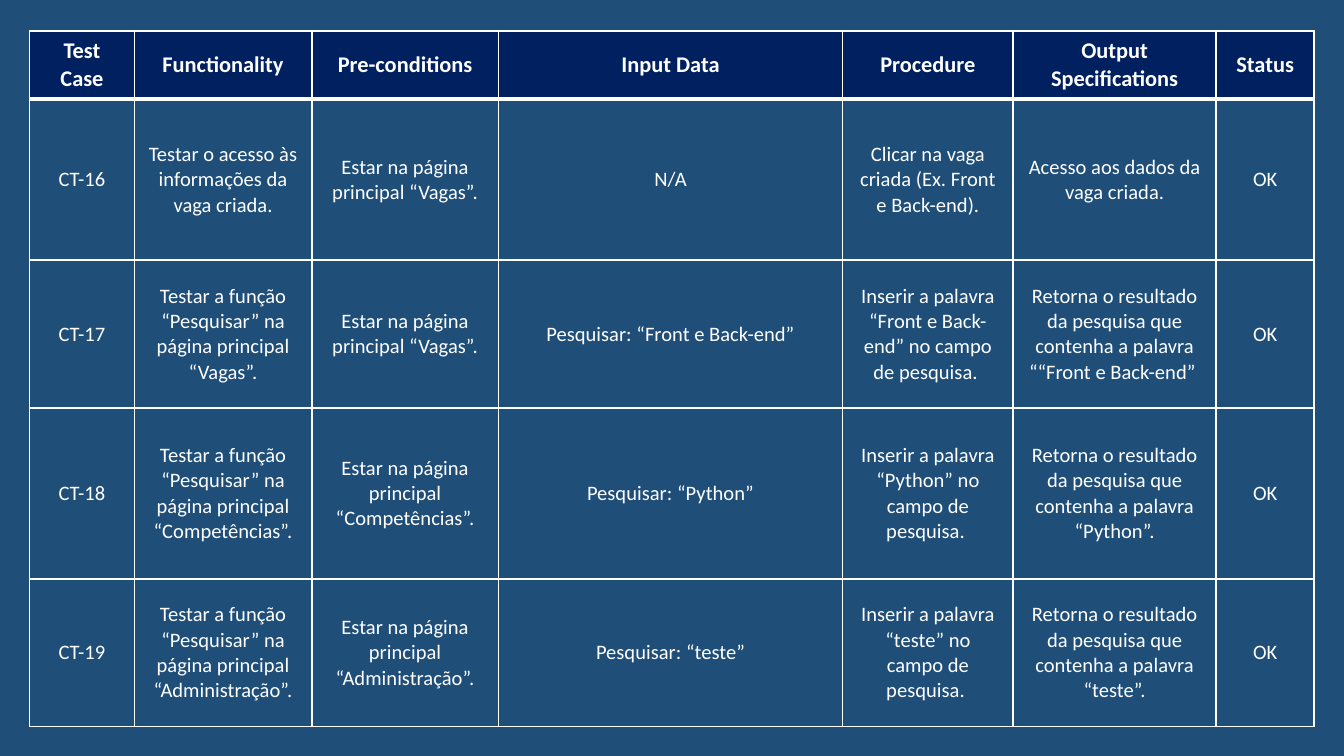
from lxml import etree
from pptx import Presentation, util as u
from pptx.dml.color import RGBColor
from pptx.enum import text
from pptx.oxml import ns

COLORS = {"background": "1F4E79", "header": "002060", "line": "FFFFFF", "text": "FFFFFF"}
FONT = "Calibri"
SLIDE_WIDTH = 10
SLIDE_HEIGHT = SLIDE_WIDTH * 9 / 16
TABLE_ORIGIN = (0.22, 0.23)
COLUMN_WIDTHS = [0.78, 1.32, 1.39, 2.56, 1.27, 1.51, 0.73]
ROW_HEIGHTS = [0.41, 1.2, 1.1, 1.27, 1.1]

HEADERS = ["Test Case", "Functionality", "Pre-conditions", "Input Data",
           "Procedure", "Output Specifications", "Status"]
TEST_CASES = [
    ["CT-16", "Testar o acesso às informações da vaga criada.",
     "Estar na página principal “Vagas”.", "N/A",
     "Clicar na vaga criada (Ex. Front e Back-end).",
     "Acesso aos dados da vaga criada.", "OK"],
    ["CT-17", "Testar a função “Pesquisar” na página principal “Vagas”.",
     "Estar na página principal “Vagas”.", "Pesquisar: “Front e Back-end”",
     "Inserir a palavra “Front e Back-end” no campo de pesquisa. ",
     "Retorna o resultado da pesquisa que contenha a palavra ““Front e Back-end” ", "OK"],
    ["CT-18", "Testar a função “Pesquisar” na página principal “Competências”.",
     "Estar na página principal “Competências”.", "Pesquisar: “Python”",
     "Inserir a palavra “Python” no campo de pesquisa. ",
     "Retorna o resultado da pesquisa que contenha a palavra “Python”.", "OK"],
    ["CT-19", "Testar a função “Pesquisar” na página principal “Administração”.",
     "Estar na página principal “Administração”.", "Pesquisar: “teste”",
     "Inserir a palavra “teste” no campo de pesquisa. ",
     "Retorna o resultado da pesquisa que contenha a palavra “teste”.", "OK"],
]


def rgb(name):
    return RGBColor.from_string(COLORS[name])


def set_borders(cell, top, bottom):
    """Draw the four cell borders; top and bottom are widths in points."""
    properties = cell._tc.get_or_add_tcPr()
    widths = {"lnL": 1, "lnR": 1, "lnT": top, "lnB": bottom}
    for position, (side, width) in enumerate(widths.items()):
        line = etree.Element(ns.qn(f"a:{side}"), w=str(u.Pt(width)))
        fill = etree.SubElement(line, ns.qn("a:solidFill"))
        etree.SubElement(fill, ns.qn("a:srgbClr"), val=COLORS["line"])
        properties.insert(position, line)


def fill_cell(cell, content, row):
    is_header = row == 0
    cell.text = content
    cell.vertical_anchor = text.MSO_ANCHOR.MIDDLE
    if is_header:
        cell.fill.solid()
        cell.fill.fore_color.rgb = rgb("header")
    else:
        cell.fill.background()
    set_borders(cell, top=3 if row == 1 else 1, bottom=3 if is_header else 1)

    paragraph = cell.text_frame.paragraphs[0]
    paragraph.alignment = text.PP_ALIGN.CENTER
    font = paragraph.font
    font.name = FONT
    font.size = u.Pt(12 if is_header else 11)
    font.bold = is_header
    font.color.rgb = rgb("text")


def main():
    presentation = Presentation()
    presentation.slide_width = u.Inches(SLIDE_WIDTH)
    presentation.slide_height = u.Inches(SLIDE_HEIGHT)
    slide = presentation.slides.add_slide(presentation.slide_layouts[6])
    slide.background.fill.solid()
    slide.background.fill.fore_color.rgb = rgb("background")

    rows = [HEADERS, *TEST_CASES]
    bounds = (*TABLE_ORIGIN, sum(COLUMN_WIDTHS), sum(ROW_HEIGHTS))
    table = slide.shapes.add_table(len(rows), len(HEADERS), *map(u.Inches, bounds)).table
    table.horz_banding = False
    for column, width in zip(table.columns, COLUMN_WIDTHS):
        column.width = u.Inches(width)
    for row, height in zip(table.rows, ROW_HEIGHTS):
        row.height = u.Inches(height)
    for row, contents in enumerate(rows):
        for column, content in enumerate(contents):
            fill_cell(table.cell(row, column), content, row)

    presentation.save("out.pptx")


if __name__ == "__main__":
    main()
